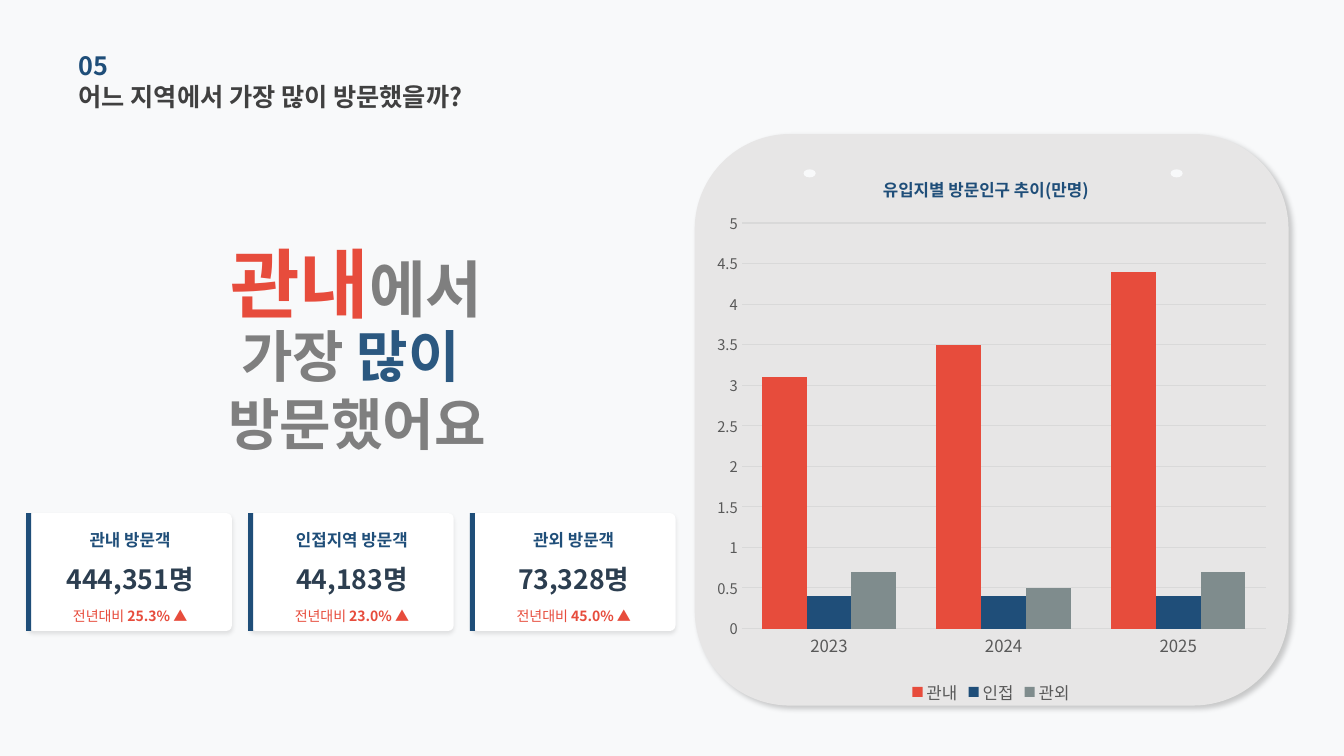
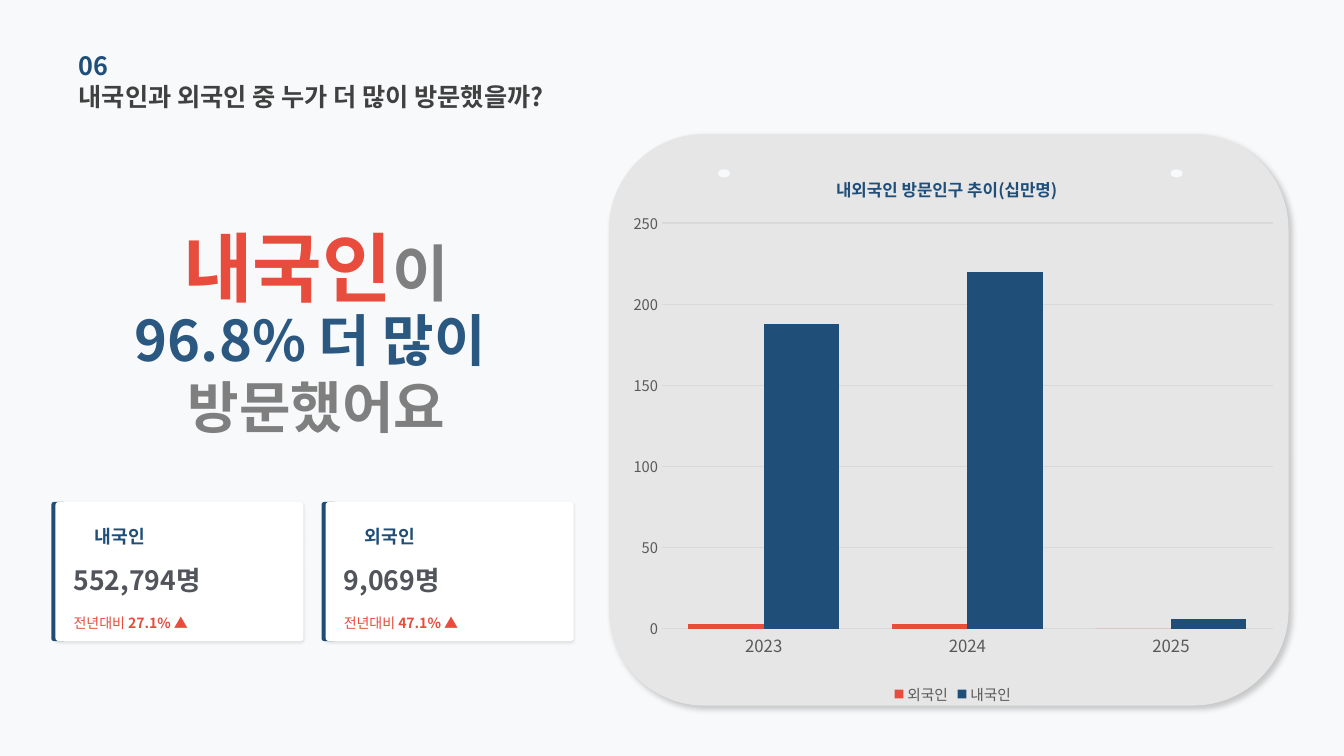
"""Build two slides on where visitors come from, each with a headline, cards and a chart."""
from dataclasses import dataclass

from lxml.etree import SubElement
from pptx import Presentation
from pptx.chart.data import CategoryChartData
from pptx.dml.color import RGBColor
from pptx.enum.chart import XL_CHART_TYPE as ChartType
from pptx.enum.chart import XL_LEGEND_POSITION as LegendPosition
from pptx.enum.chart import XL_TICK_MARK as TickMark
from pptx.enum.shapes import MSO_SHAPE as Shape
from pptx.enum.text import MSO_ANCHOR as Anchor
from pptx.enum.text import PP_ALIGN as Align
from pptx.oxml.ns import qn
from pptx.util import Inches, Pt

FONT = "Noto Sans CJK KR"
BACKGROUND = RGBColor(0xF8, 0xF9, 0xFA)
PANEL = RGBColor(0xE7, 0xE6, 0xE6)
WHITE = RGBColor(0xFF, 0xFF, 0xFF)
NAVY = RGBColor(0x1F, 0x4E, 0x79)
BLUE = RGBColor(0x2B, 0x58, 0x80)
RED = RGBColor(0xE7, 0x4C, 0x3C)
SLATE = RGBColor(0x7F, 0x8C, 0x8D)
TITLE_GRAY = RGBColor(0x40, 0x40, 0x40)
HEADLINE_GRAY = RGBColor(0x7F, 0x7F, 0x7F)
AXIS_GRAY = RGBColor(0x59, 0x59, 0x59)
GRID_GRAY = RGBColor(0xD9, 0xD9, 0xD9)
DARK_VALUE = RGBColor(0x2C, 0x3E, 0x50)
GRAY_VALUE = RGBColor(0x51, 0x54, 0x5A)

PANEL_RIGHT = 12.78
PANEL_SHADOW = (20, 4, 3, 45)
YEARS = ("2023", "2024", "2025")


@dataclass
class CardStyle:
    """Geometry and text format shared by the cards of one slide."""
    left: float
    top: float
    width: float
    height: float
    pitch: float
    corner: float
    shadow: tuple
    accent_shape: Shape
    accent_offset: float
    accent_width: float
    accent_in_front: bool
    align: Align
    label_indent: float
    text_indent: float
    centres: tuple
    label_size: float
    value_color: RGBColor


CENTRED_CARDS = CardStyle(
    left=0.28, top=5.09, width=2.02, height=1.17, pitch=2.2, corner=0.048,
    shadow=(10, 3, 2, 90), accent_shape=Shape.RECTANGLE, accent_offset=-0.02,
    accent_width=0.05, accent_in_front=True, align=Align.CENTER,
    label_indent=0, text_indent=0, centres=(5.36, 5.74, 6.11),
    label_size=12, value_color=DARK_VALUE)
LEFT_CARDS = CardStyle(
    left=0.55, top=4.98, width=2.46, height=1.38, pitch=2.68, corner=0.023,
    shadow=(10, 2, 1, 90), accent_shape=Shape.ROUNDED_RECTANGLE, accent_offset=-0.04,
    accent_width=0.15, accent_in_front=False, align=Align.LEFT,
    label_indent=0.39, text_indent=0.18, centres=(5.32, 5.75, 6.18),
    label_size=13, value_color=GRAY_VALUE)


def style_font(font, *, size, color, bold=False):
    """Set size, colour, weight and both typefaces of a font."""
    font.size = Pt(size)
    font.bold = bold
    font.color.rgb = color
    font.name = FONT
    SubElement(font._element, qn("a:ea"), typeface=FONT)


def add_run(paragraph, text, **text_format):
    """Append formatted text to a paragraph."""
    run = paragraph.add_run()
    run.text = text
    style_font(run.font, **text_format)


def add_text(slide, box, lines, align=Align.LEFT):
    """Add a text box whose lines are lists of (text, format) runs."""
    shape = slide.shapes.add_textbox(*map(Inches, box))
    frame = shape.text_frame
    frame.word_wrap = True
    frame.vertical_anchor = Anchor.MIDDLE
    frame.margin_left = frame.margin_right = frame.margin_top = frame.margin_bottom = 0
    for index, runs in enumerate(lines):
        paragraph = frame.add_paragraph() if index else frame.paragraphs[0]
        paragraph.alignment = align
        for text, text_format in runs:
            add_run(paragraph, text, **text_format)


def add_filled_shape(slide, kind, box, color, corner=None, shadow=None):
    """Add a borderless shape with an optional corner size and shadow."""
    shape = slide.shapes.add_shape(kind, *map(Inches, box))
    shape.fill.solid()
    shape.fill.fore_color.rgb = color
    shape.line.fill.background()
    shape.shadow.inherit = False
    if corner is not None:
        shape.adjustments[0] = corner
    if shadow:
        opacity, blur, distance, angle = shadow
        effects = shape._element.spPr.find(qn("a:effectLst"))
        outer = SubElement(effects, qn("a:outerShdw"), blurRad=str(Pt(blur)),
                           dist=str(Pt(distance)), dir=str(angle * 60000),
                           algn="ctr", rotWithShape="0")
        black = SubElement(outer, qn("a:srgbClr"), val="000000")
        SubElement(black, qn("a:alpha"), val=str(opacity * 1000))


def add_heading(slide, number, question):
    """Add the section number and the question under it."""
    add_text(slide, (0.78, 0.44, 4.52, 0.41),
             [[(number, dict(size=18, color=NAVY, bold=True))]])
    add_text(slide, (0.78, 0.75, 5.28, 0.41),
             [[(question, dict(size=18, color=TITLE_GRAY, bold=True))]])


def add_headline(slide, left, top, subject, particle, middle):
    """Add the three-line headline with its emphasised subject."""
    add_text(slide, (left + 0.61, top, 4.29, 0.48),
             [[(subject, dict(size=54, color=RED, bold=True)),
               (particle, dict(size=44, color=HEADLINE_GRAY, bold=True))]], Align.CENTER)
    lines = [middle, [("방문했어요", HEADLINE_GRAY)]]
    add_text(slide, (left, top + 0.88, 5.52, 0.84),
             [[(text, dict(size=40, color=color, bold=True)) for text, color in line]
              for line in lines], Align.CENTER)


def add_cards(slide, style, cards):
    """Add a row of cards, each with a label, a count and its yearly change."""
    for index, (label, count, change) in enumerate(cards):
        left = style.left + index * style.pitch
        face = (Shape.ROUNDED_RECTANGLE, (left, style.top, style.width, style.height),
                WHITE, style.corner, style.shadow)
        accent = (style.accent_shape, (left + style.accent_offset, style.top,
                                       style.accent_width, style.height), NAVY)
        for layer in (face, accent) if style.accent_in_front else (accent, face):
            add_filled_shape(slide, *layer)
        rows = (
            (style.label_indent, [(label, dict(size=style.label_size, color=NAVY, bold=True))]),
            (style.text_indent, [(count, dict(size=19, color=style.value_color, bold=True))]),
            (style.text_indent, [("전년대비 ", dict(size=10, color=RED)),
                                 (change, dict(size=10, color=RED, bold=True))]),
        )
        for centre, (indent, runs) in zip(style.centres, rows):
            add_text(slide, (left + indent, centre - 0.17, style.width - indent, 0.34),
                     [runs], style.align)


def add_panel(slide, left):
    """Add the rounded chart panel with its two pin holes."""
    add_filled_shape(slide, Shape.ROUNDED_RECTANGLE,
                     (left, 1.33, PANEL_RIGHT - left, 5.67), PANEL, shadow=PANEL_SHADOW)
    for hole_left in (left + 1.08, PANEL_RIGHT - 1.17):
        add_filled_shape(slide, Shape.OVAL, (hole_left, 1.68, 0.12, 0.08), BACKGROUND)


def set_layout(parent, index, **fractions):
    """Place a chart part by fractions of the chart area."""
    for automatic in parent.findall(qn("c:layout")):
        parent.remove(automatic)
    layout = parent.makeelement(qn("c:layout"), {})
    parent.insert(index, layout)
    manual = SubElement(layout, qn("c:manualLayout"))
    if "w" in fractions:
        SubElement(manual, qn("c:layoutTarget"), val="inner")
    for mode in ("xMode", "yMode"):
        SubElement(manual, qn(f"c:{mode}"), val="edge")
    for name, value in fractions.items():
        SubElement(manual, qn(f"c:{name}"), val=str(value))


def style_axes(chart, maximum, step):
    """Format the category axis, the value axis and its gridlines."""
    for axis, size in ((chart.category_axis, 12), (chart.value_axis, 10.5)):
        axis.major_tick_mark = axis.minor_tick_mark = TickMark.NONE
        style_font(axis.tick_labels.font, size=size, color=AXIS_GRAY)
    value_axis = chart.value_axis
    value_axis.minimum_scale = 0
    value_axis.maximum_scale = maximum
    value_axis.major_unit = step
    value_axis.has_major_gridlines = True
    value_axis.format.line.fill.background()
    for line in (chart.category_axis.format.line, value_axis.major_gridlines.format.line):
        line.color.rgb = GRID_GRAY
        line.width = Pt(0.75)


def add_column_chart(slide, left, width, title, title_left, series, *,
                     maximum, step, gap, legend_size):
    """Add a clustered column chart with a title and a bottom legend."""
    data = CategoryChartData()
    data.categories = YEARS
    for name, values, _ in series:
        data.add_series(name, values)
    box = map(Inches, (left, 1.48, width, 5.55))
    chart = slide.shapes.add_chart(ChartType.COLUMN_CLUSTERED, *box, data).chart
    style_font(chart.font, size=10, color=AXIS_GRAY)

    chart.has_title = True
    add_run(chart.chart_title.text_frame.paragraphs[0], title,
            size=12, color=NAVY, bold=True)
    set_layout(chart.chart_title._element, 1, x=title_left, y=0.04)
    set_layout(chart._chartSpace.chart.plotArea, 0, x=0.063, y=0.132, w=0.918, h=0.725)

    chart.has_legend = True
    chart.legend.position = LegendPosition.BOTTOM
    chart.legend.include_in_layout = False
    style_font(chart.legend.font, size=legend_size, color=AXIS_GRAY)

    style_axes(chart, maximum, step)
    plot = chart.plots[0]
    plot.gap_width = gap
    plot.overlap = 0
    plot.vary_by_categories = False
    for column, (_, _, color) in zip(plot.series, series):
        column.format.fill.solid()
        column.format.fill.fore_color.rgb = color


def build_region_slide(slide):
    """Fill the slide on visitors by region."""
    add_panel(slide, 6.89)
    add_heading(slide, "05", "어느 지역에서 가장 많이 방문했을까?")
    add_headline(slide, 0.78, 2.56, "관내", "에서",
                 [("가장", HEADLINE_GRAY), (" 많이 ", BLUE)])
    add_cards(slide, CENTRED_CARDS, (
        ("관내 방문객", "444,351명", "25.3% ▲"),
        ("인접지역 방문객", "44,183명", "23.0% ▲"),
        ("관외 방문객", "73,328명", "45.0% ▲")))
    add_column_chart(slide, 7, 5.66, "유입지별 방문인구 추이(만명)", 0.305, (
        ("관내", (3.1, 3.5, 4.4), RED),
        ("인접", (0.4, 0.4, 0.4), NAVY),
        ("관외", (0.7, 0.5, 0.7), SLATE)),
        maximum=5, step=0.5, gap=90, legend_size=12)


def build_nationality_slide(slide):
    """Fill the slide on domestic and foreign visitors."""
    add_panel(slide, 6.04)
    add_heading(slide, "06", "내국인과 외국인 중 누가 더 많이 방문했을까?")
    add_headline(slide, 0.38, 2.4, "내국인", "이", [("96.8% 더 많이 ", BLUE)])
    add_cards(slide, LEFT_CARDS, (
        ("내국인", "552,794명", "27.1% ▲"),
        ("외국인", "9,069명", "47.1% ▲")))
    add_column_chart(slide, 6.15, 6.6, "내외국인 방문인구 추이(십만명)", 0.32, (
        ("외국인", (3, 3, 0), RED),
        ("내국인", (188, 220, 6), NAVY)),
        maximum=250, step=50, gap=70, legend_size=10.5)


def main():
    """Create the presentation and save it."""
    presentation = Presentation()
    presentation.slide_width = Inches(13.33)
    presentation.slide_height = Inches(7.5)
    background = presentation.slide_master.background.fill
    background.solid()
    background.fore_color.rgb = BACKGROUND
    for build in (build_region_slide, build_nationality_slide):
        build(presentation.slides.add_slide(presentation.slide_layouts[6]))
    presentation.save("out.pptx")


if __name__ == "__main__":
    main()
